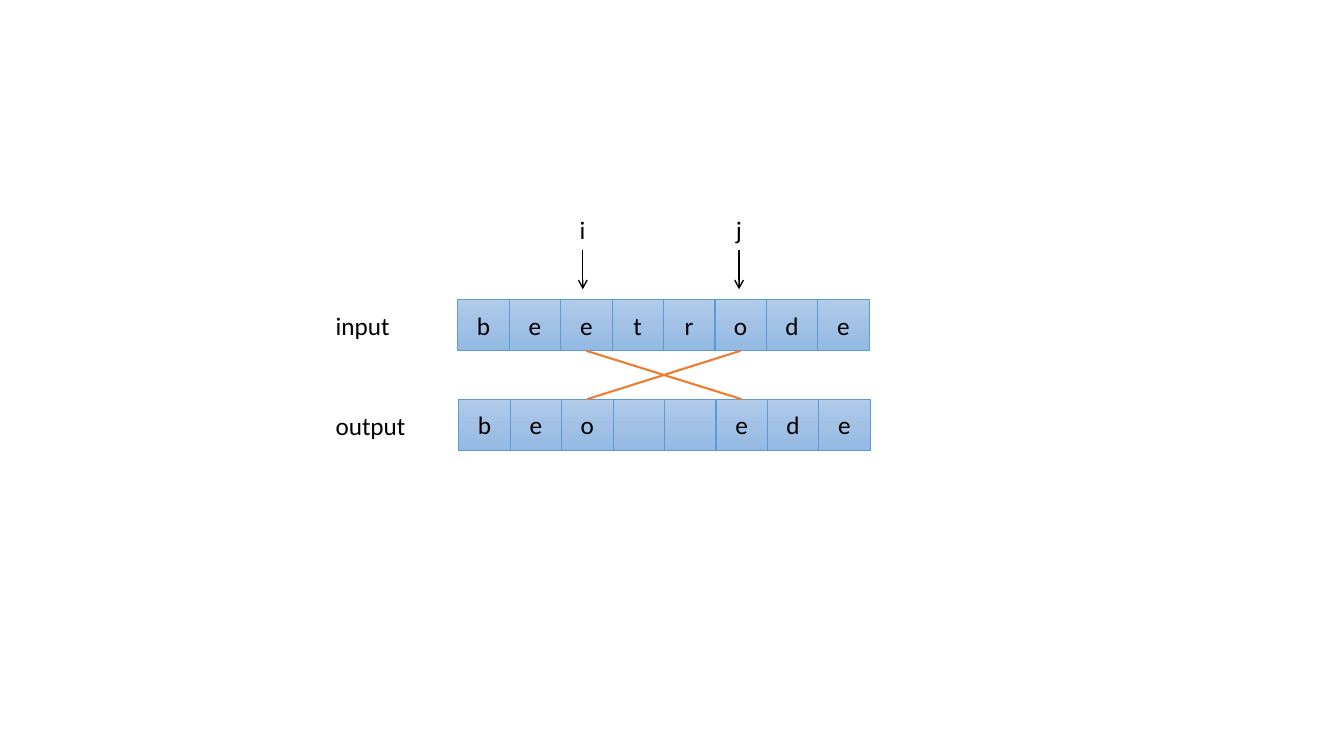
from pptx import Presentation
from pptx.dml.color import RGBColor as RGB
from pptx.enum.shapes import MSO_CONNECTOR as LINK, MSO_SHAPE as SHAPE
from pptx.enum.text import MSO_ANCHOR as ANCHOR, MSO_AUTO_SIZE as FIT, PP_ALIGN as ALIGN
from pptx.oxml.ns import qn
from pptx.util import Emu, Pt
from lxml.etree import SubElement
from copy import deepcopy

SCALE = 9144
CELL = 51
COLORS = {
    "text": "000000",
    "border": "5B9BD5",
    "top": "B1CBE9",
    "middle": "A3C1E5",
    "bottom": "93B9E4",
    "swap": "ED7D31",
}


def px(length):
    """Turn a length in px into EMU."""
    return Emu(length * SCALE)


def color(key):
    """Look up a colour by its role."""
    return RGB.from_string(COLORS[key])


def put_text(frame, text, align=ALIGN.LEFT, anchor=ANCHOR.TOP, fit=FIT.NONE):
    """Write one formatted line into a text frame."""
    frame.word_wrap = True
    frame.auto_size = fit
    frame.vertical_anchor = anchor
    line = frame.paragraphs[0]
    line.alignment = align
    run = line.add_run()
    run.text = text
    run.font.name = "Calibri"
    run.font.size = Pt(18)
    run.font.color.rgb = color("text")


def add_label(shapes, text, left, top, width):
    """Add a label that grows with its text."""
    label = shapes.add_textbox(px(left), px(top), px(width), px(40))
    put_text(label.text_frame, text, fit=FIT.SHAPE_TO_FIT_TEXT)


def shade(cell):
    """Fill a cell with the vertical three-step gradient."""
    cell.fill.gradient()
    cell.fill.gradient_angle = 270
    stop_list = cell._element.spPr.find(qn("a:gradFill")).find(qn("a:gsLst"))
    stop_list.insert(1, deepcopy(stop_list[0]))
    steps = zip(cell.fill.gradient_stops, (0, 0.5, 1), ("top", "middle", "bottom"))
    for stop, position, key in steps:
        stop.position = position
        stop.color.rgb = color(key)


def add_cell(shapes, letter, left, top):
    """Add one square cell, with its letter if there is one."""
    cell = shapes.add_shape(SHAPE.RECTANGLE, px(left), px(top), px(CELL), px(CELL))
    cell.shadow.inherit = False
    shade(cell)
    cell.line.color.rgb = color("border")
    cell.line.width = Pt(0.5)
    if letter.strip():
        put_text(cell.text_frame, letter, align=ALIGN.CENTER, anchor=ANCHOR.MIDDLE)
    return cell


def add_array(slide, letters, left, top):
    """Add a grouped row of cells and return the cells."""
    row = slide.shapes.add_group_shape().shapes
    return [add_cell(row, letter, left + CELL * index, top)
            for index, letter in enumerate(letters)]


def add_line(shapes, key, width, start=(0, 0), end=(0, 0)):
    """Add a straight line without shadow."""
    line = shapes.add_connector(LINK.STRAIGHT, *map(px, start + end))
    line.line.color.rgb = color(key)
    line.line.width = Pt(width)
    SubElement(line._element.spPr, qn("a:effectLst"))
    return line


def add_pointer(slide, name, x):
    """Add a grouped index name with an arrow down to its cell."""
    pointer = slide.shapes.add_group_shape().shapes
    arrow = add_line(pointer, "text", 1, start=(x, 248), end=(x, 287))
    SubElement(arrow.line._get_or_add_ln(), qn("a:tailEnd"), type="arrow")
    add_label(pointer, name, x - 13, 208, 54)


def add_swap(slide, source, target):
    """Join the bottom of one cell to the top of another."""
    swap = add_line(slide.shapes, "swap", 1.5)
    swap.begin_connect(source, 2)
    swap.end_connect(target, 0)


def main():
    """Build the slide and save it."""
    deck = Presentation()
    deck.slide_width, deck.slide_height = px(1333), px(750)
    slide = deck.slides.add_slide(deck.slide_layouts[6])
    before = add_array(slide, "beetrode", 454, 297)
    after = add_array(slide, "beo  ede", 455, 396)
    add_label(slide.shapes, "input", 323, 303, 145)
    add_label(slide.shapes, "output", 323, 402, 145)
    add_pointer(slide, "j", 733)
    add_pointer(slide, "i", 578)
    add_swap(slide, before[5], after[2])
    add_swap(slide, before[2], after[5])
    deck.save("out.pptx")


if __name__ == "__main__":
    main()
